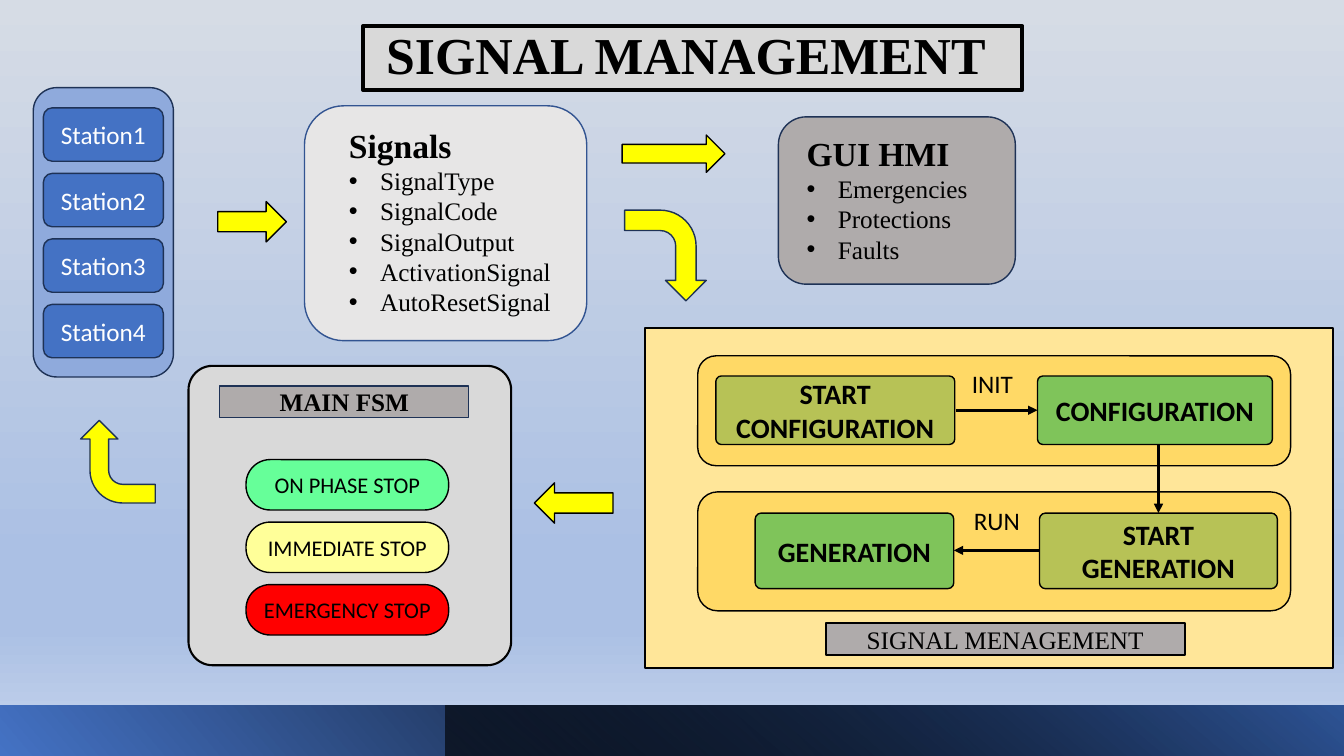
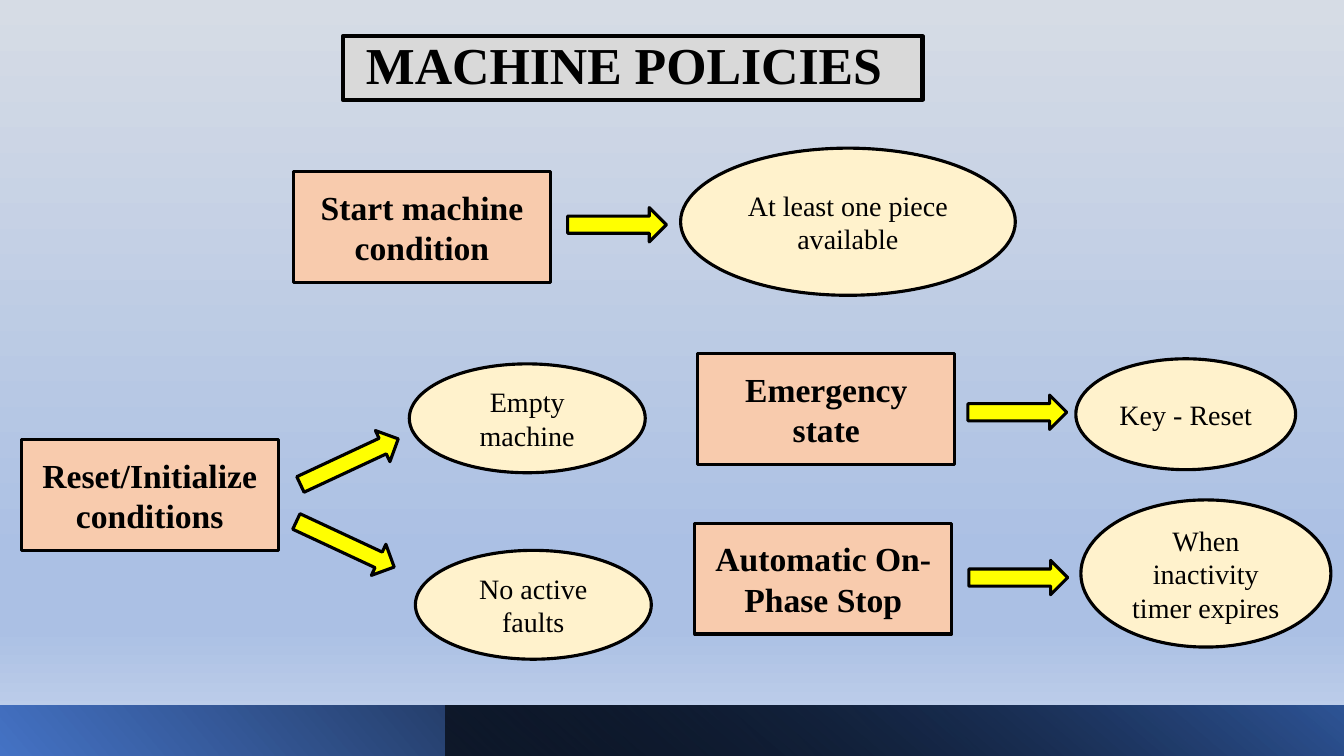
"""Build two slides on signal management and machine policies."""
from dataclasses import dataclass, replace
from typing import Optional

from pptx import Presentation
from pptx.dml.color import RGBColor
from pptx.enum import shapes, text
from pptx.oxml import parse_xml
from pptx.oxml.ns import nsdecls, qn
from pptx.util import Inches, Pt

BLACK = RGBColor(0x00, 0x00, 0x00)
WHITE = RGBColor(0xFF, 0xFF, 0xFF)
NAVY = RGBColor(0x1E, 0x32, 0x56)
STEEL = RGBColor(0x32, 0x54, 0x91)
DEEP_BLUE = RGBColor(0x2F, 0x55, 0x97)
BLUE = RGBColor(0x44, 0x72, 0xC4)
LIGHT_BLUE = RGBColor(0x8F, 0xAA, 0xDC)
SKY_TOP = RGBColor(0xD6, 0xDC, 0xE5)
SKY = RGBColor(0xAB, 0xC0, 0xE4)
SKY_BASE = RGBColor(0xC7, 0xD5, 0xED)
SILVER = RGBColor(0xD9, 0xD9, 0xD9)
PALE_GREY = RGBColor(0xE7, 0xE6, 0xE6)
GREY = RGBColor(0xAF, 0xAB, 0xAB)
PALE_GOLD = RGBColor(0xFF, 0xE6, 0x99)
GOLD = RGBColor(0xFF, 0xD9, 0x66)
OLIVE = RGBColor(0x70, 0xAD, 0x47)
GREEN = RGBColor(0x00, 0xB0, 0x50)
MINT = RGBColor(0x66, 0xFF, 0x99)
LEMON = RGBColor(0xFF, 0xFF, 0x99)
RED = RGBColor(0xFF, 0x00, 0x00)
YELLOW = RGBColor(0xFF, 0xFF, 0x00)
PEACH = RGBColor(0xF8, 0xCB, 0xAD)
CREAM = RGBColor(0xFF, 0xF2, 0xCC)

SERIF = "Times New Roman"
SANS = "Calibri"
KIND = shapes.MSO_SHAPE
BENT = (0.25, 0.25, 0.25, 0.44)
Box = tuple[float, float, float, float]


@dataclass(frozen=True)
class Block:
    """A preset shape with an optional centred label."""
    box: Box
    fill: RGBColor
    label: str = ""
    kind: int = KIND.ROUNDED_RECTANGLE
    line: RGBColor = BLACK
    line_width: float = 1
    size: float = 18
    font: str = SANS
    bold: bool = False
    color: RGBColor = BLACK
    rotation: float = 0
    adjustments: tuple[float, ...] = ()
    margin: float = 0.1
    opacity: int = 100


@dataclass(frozen=True)
class Stop:
    """A gradient stop, with position and opacity in percent."""
    position: int
    color: RGBColor
    opacity: int = 100


@dataclass(frozen=True)
class Band:
    """A footer band with a mirrored gradient."""
    box: Box
    stops: tuple[Stop, ...]
    angle: int
    rotation: float = 0


BACKGROUND = (Stop(0, SKY_TOP), Stop(74, SKY), Stop(83, SKY), Stop(100, SKY_BASE))
BANDS = (
    Band((0, 7, 13.33, 0.5), (Stop(0, BLUE), Stop(78, BLACK)), 40, 180),
    Band((4.42, 7, 8.92, 0.5), (Stop(0, BLACK, 63), Stop(100, DEEP_BLUE)), 230),
)

PANEL = Block((6.92, 3.53, 5.88, 1.09), GOLD)
STATE = Block((7.1, 3.73, 2.37, 0.68), OLIVE, size=20, bold=True,
              adjustments=(0.08,), opacity=50)
ARROW = Block((6.17, 1.34, 1.02, 0.37), YELLOW, kind=KIND.RIGHT_ARROW)
TURN = Block((6.15, 2.13, 0.9, 0.81), YELLOW, kind=KIND.BENT_ARROW, line=NAVY,
             rotation=90, adjustments=BENT)
CAPTION = Block((2.18, 3.83, 2.47, 0.31), GREY, "MAIN FSM", KIND.RECTANGLE,
                NAVY, font=SERIF, bold=True)

FLOW = (
    Block((3.02, 1.05, 2.8, 2.33), PALE_GREY, line=STEEL),
    Block((7.72, 1.16, 2.35, 1.66), GREY, line=NAVY),
    Block((6.4, 3.25, 6.82, 3.38), PALE_GOLD, kind=KIND.RECTANGLE, line_width=1.5),
    PANEL,
    replace(PANEL, box=(6.92, 4.88, 5.88, 1.18)),
    replace(STATE, label="START CONFIGURATION"),
    replace(STATE, box=(10.29, 3.73, 2.33, 0.68), fill=GREEN, label="CONFIGURATION"),
    replace(STATE, box=(10.31, 5.09, 2.36, 0.75), label="START GENERATION"),
    replace(STATE, box=(7.49, 5.09, 1.97, 0.75), fill=GREEN, label="GENERATION"),
    Block((1.87, 3.63, 3.2, 2.97), SILVER, line_width=1.5, adjustments=(0.08,)),
    CAPTION,
    replace(CAPTION, box=(8.19, 6.18, 3.56, 0.32), label="SIGNAL MENAGEMENT",
            line=BLACK, line_width=1.5, bold=False),
    ARROW,
    replace(ARROW, box=(2.16, 2, 0.68, 0.4)),
    replace(ARROW, box=(5.3, 4.79, 0.78, 0.4), rotation=180),
    TURN,
    replace(TURN, box=(0.76, 4.21, 0.82, 0.74), rotation=270),
    Block((0.33, 0.87, 1.39, 2.87), LIGHT_BLUE, line=NAVY),
)
STATIONS = tuple(
    Block((0.43, 1.07 + 0.65 * row, 1.19, 0.53), BLUE, f"Station{row + 1}",
          line=NAVY, color=WHITE)
    for row in range(4))
STOPS = tuple(
    Block((2.44, 4.56 + 0.62 * row, 2.01, 0.5), fill, label, size=16,
          adjustments=(0.48,), margin=0.05)
    for row, (label, fill) in enumerate((
        ("ON PHASE STOP", MINT), ("IMMEDIATE STOP", LEMON), ("EMERGENCY STOP", RED))))
TRANSITIONS = (
    (9.48, 4.07, 10.29, 4.07),
    (11.49, 4.41, 11.49, 5.09),
    (10.31, 5.46, 9.46, 5.46),
)
EVENTS = (("INIT", (9.54, 3.6, 0.61, 0.4)), ("RUN", (9.56, 4.96, 0.66, 0.4)))
LISTS = (
    ((3.36, 1.19, 2.4, 2.02), "Signals",
     ("SignalType", "SignalCode", "SignalOutput", "ActivationSignal", "AutoResetSignal")),
    ((7.9, 1.27, 1.98, 1.41), "GUI HMI", ("Emergencies", "Protections", "Faults")),
)


def condition(left: float, top: float, label: str) -> Block:
    """Describe a policy condition box."""
    return Block((left, top, 2.55, 1.1), PEACH, label, KIND.RECTANGLE,
                 line_width=2.25, size=24, font=SERIF, bold=True, margin=0.15)


def outcome(box: Box, label: str) -> Block:
    """Describe a policy outcome ellipse."""
    return Block(box, CREAM, label, KIND.OVAL, line_width=2.25, size=20,
                 font=SERIF, margin=0.05)


def pointer(left: float, top: float, width: float = 0.98, rotation: float = 0) -> Block:
    """Describe an arrow from a condition to an outcome."""
    return replace(ARROW, box=(left, top, width, 0.34), line_width=2.25, rotation=rotation)


POLICIES = (
    condition(2.91, 1.7, "Start machine condition"),
    pointer(5.63, 2.06),
    outcome((6.75, 1.47, 3.32, 1.46), "At least one piece available"),
    condition(0.21, 4.36, "Reset/Initialize conditions"),
    pointer(2.93, 4.41, 1.07, 335),
    outcome((4.06, 3.61, 2.34, 1.08), "Empty machine"),
    pointer(2.89, 5.23, 1.07, 25),
    outcome((4.12, 5.46, 2.34, 1.08), "No active faults"),
    condition(6.92, 3.51, "Emergency state"),
    pointer(9.6, 3.92),
    outcome((10.67, 3.56, 2.18, 1.1), "Key - Reset"),
    condition(6.89, 5.19, "Automatic On-Phase Stop"),
    pointer(9.61, 5.56),
    outcome((10.72, 4.96, 2.48, 1.46), "When inactivity timer expires"),
)


def inches(box: tuple[float, ...]) -> list[int]:
    """Convert a box to lengths."""
    return [Inches(value) for value in box]


def place(shape, box: Box) -> None:
    """Move and resize a shape."""
    shape.left, shape.top, shape.width, shape.height = inches(box)


def format_runs(paragraph, font: str, size: float, bold: bool = False,
                color: RGBColor = BLACK) -> None:
    """Format every run of a paragraph."""
    for run in paragraph.runs:
        run.font.name, run.font.size, run.font.bold = font, Pt(size), bold
        run.font.color.rgb = color


def set_gradient(properties, stops: tuple[Stop, ...], angle: int) -> None:
    """Replace a solid fill with a linear gradient."""
    marks = "".join(
        f'<a:gs pos="{stop.position * 1000}"><a:srgbClr val="{stop.color}">'
        f'<a:alpha val="{stop.opacity * 1000}"/></a:srgbClr></a:gs>' for stop in stops)
    gradient = parse_xml(
        f'<a:gradFill {nsdecls("a")} rotWithShape="1"><a:gsLst>{marks}</a:gsLst>'
        f'<a:lin ang="{angle * 60000}" scaled="0"/></a:gradFill>')
    properties.replace(properties.find(qn("a:solidFill")), gradient)


def add_band(slide, band: Band) -> None:
    """Draw a footer band."""
    shape = slide.shapes.add_shape(KIND.RECTANGLE, *inches(band.box))
    shape.shadow.inherit = False
    shape.line.fill.background()
    shape.fill.solid()
    properties = shape.element.spPr
    set_gradient(properties, band.stops, band.angle)
    shape.rotation = band.rotation
    properties.find(qn("a:xfrm")).set("flipH", "1")


def add_block(slide, block: Block) -> None:
    """Draw a shape and its label."""
    shape = slide.shapes.add_shape(block.kind, *inches(block.box))
    shape.shadow.inherit = False
    shape.rotation = block.rotation
    for index, value in enumerate(block.adjustments):
        shape.adjustments[index] = value
    shape.fill.solid()
    shape.fill.fore_color.rgb = block.fill
    if block.opacity < 100:
        color = shape.element.spPr.find(qn("a:solidFill"))[0]
        color.append(parse_xml(f'<a:alpha {nsdecls("a")} val="{block.opacity * 1000}"/>'))
    shape.line.color.rgb = block.line
    shape.line.width = Pt(block.line_width)
    if block.label:
        frame = shape.text_frame
        frame.word_wrap = True
        frame.vertical_anchor = text.MSO_ANCHOR.MIDDLE
        frame.margin_left = frame.margin_right = Inches(block.margin)
        frame.text = block.label
        paragraph = frame.paragraphs[0]
        paragraph.alignment = text.PP_ALIGN.CENTER
        format_runs(paragraph, block.font, block.size, block.bold, block.color)


def add_transition(slide, ends: Box) -> None:
    """Draw an arrow between two states."""
    connector = slide.shapes.add_connector(shapes.MSO_CONNECTOR.STRAIGHT, *inches(ends))
    connector.line.color.rgb = BLACK
    connector.line.width = Pt(2.25)
    properties = connector.element.spPr
    properties.find(qn("a:ln")).append(parse_xml(f'<a:tailEnd {nsdecls("a")} type="triangle"/>'))
    properties.append(parse_xml(f'<a:effectLst {nsdecls("a")}/>'))


def add_event(slide, label: str, box: Box) -> None:
    """Write the name of an event above its arrow."""
    frame = slide.shapes.add_textbox(*inches(box)).text_frame
    frame.word_wrap = False
    frame.text = label
    format_runs(frame.paragraphs[0], SANS, 18)


def fill_list(placeholder, box: Box, heading: str, items: tuple[str, ...]) -> None:
    """Fill a body placeholder and bring it to the front."""
    place(placeholder, box)
    placeholder.element.getparent().append(placeholder.element)
    frame = placeholder.text_frame
    frame.auto_size = text.MSO_AUTO_SIZE.NONE
    frame.text = "\n".join((heading, *items))
    for index, paragraph in enumerate(frame.paragraphs):
        properties = paragraph._p.get_or_add_pPr()
        indent = Inches(0.31) if index else 0
        properties.set("marL", str(indent))
        properties.set("indent", str(-indent))
        bullets = ('<a:buFont {} typeface="Arial"/>', '<a:buChar {} char="•"/>')
        for bullet in bullets if index else ("<a:buNone {}/>",):
            properties.append(parse_xml(bullet.format(nsdecls("a"))))
        paragraph.space_before = Pt(0)
        format_runs(paragraph, SERIF, 18 if index else 24, not index)


def add_slide(presentation, layout: int, title: str, box: Box,
              blocks: Optional[tuple[Block, ...]] = None):
    """Add a slide with footer bands, a framed title and blocks."""
    slide = presentation.slides.add_slide(presentation.slide_layouts[layout])
    for band in BANDS:
        add_band(slide, band)
    shape = slide.shapes.title
    place(shape, box)
    shape.fill.solid()
    shape.fill.fore_color.rgb = SILVER
    shape.line.color.rgb = BLACK
    shape.line.width = Pt(3)
    frame = shape.text_frame
    frame.auto_size = text.MSO_AUTO_SIZE.NONE
    frame.vertical_anchor = text.MSO_ANCHOR.BOTTOM
    frame.margin_left = Inches(0.23)
    frame.text = title
    paragraph = frame.paragraphs[0]
    paragraph.alignment = text.PP_ALIGN.LEFT
    paragraph.line_spacing = 0.8
    format_runs(paragraph, SERIF, 37, True)
    for block in blocks or ():
        add_block(slide, block)
    return slide


def main() -> None:
    """Build and save the presentation."""
    presentation = Presentation()
    presentation.slide_width, presentation.slide_height = Inches(13.33), Inches(7.5)
    master = presentation.slide_master
    master.background.fill.solid()
    set_gradient(master.element.find(".//" + qn("p:bgPr")), BACKGROUND, 90)

    signals = add_slide(presentation, 3, "SIGNAL MANAGEMENT", (3.6, 0.26, 6.54, 0.63),
                        FLOW + STATIONS + STOPS)
    for ends in TRANSITIONS:
        add_transition(signals, ends)
    for label, box in EVENTS:
        add_event(signals, label, box)
    for index, (box, heading, items) in enumerate(LISTS, start=1):
        fill_list(signals.placeholders[index], box, heading, items)

    add_slide(presentation, 5, "MACHINE POLICIES", (3.4, 0.36, 5.75, 0.63), POLICIES)
    presentation.save("out.pptx")


if __name__ == "__main__":
    main()
